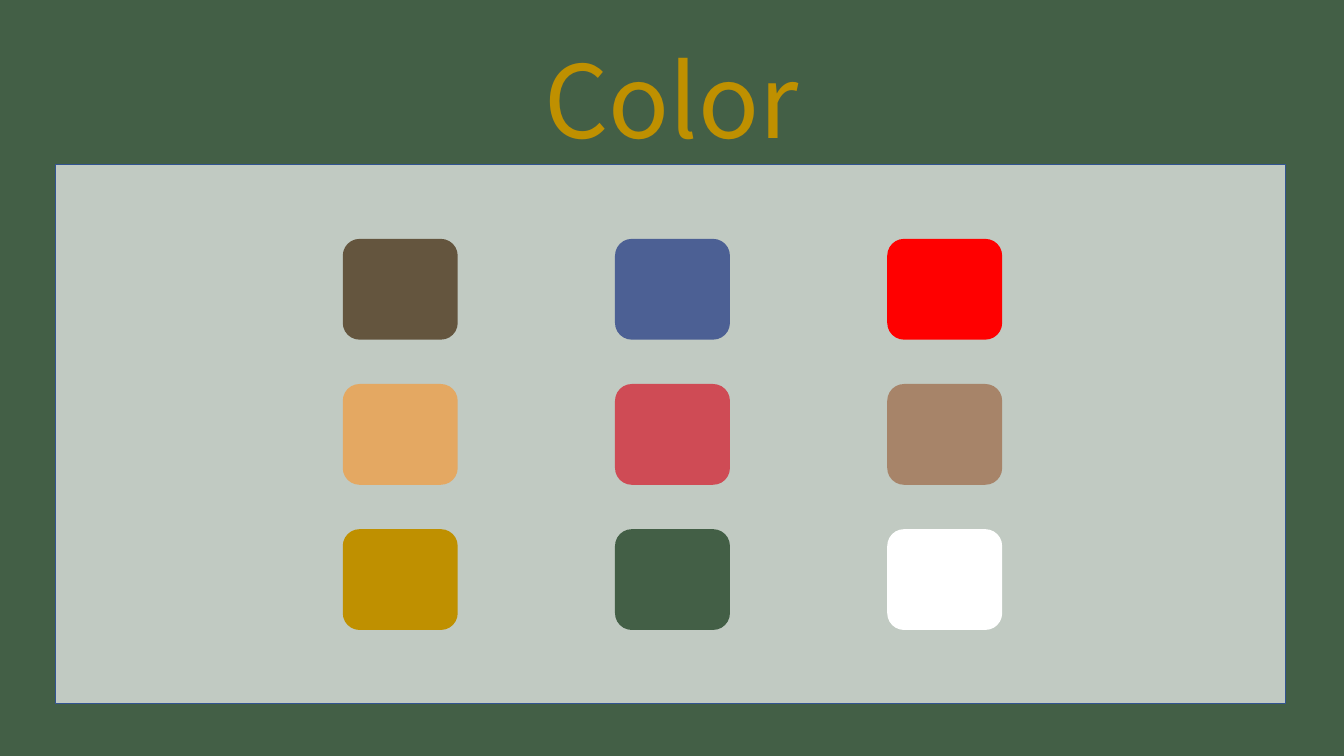
from pptx import Presentation
from pptx.dml.color import RGBColor
from pptx.enum.shapes import MSO_SHAPE
from pptx.enum.text import MSO_ANCHOR, MSO_AUTO_SIZE, PP_ALIGN
from pptx.oxml.ns import qn
from pptx.util import Inches, Pt
from lxml import etree

FONT = "Noto Sans CJK KR"
COLORS = {
    "green": "435F46", "gold": "BF9000", "white": "FFFFFF",
    "brown": "64553E", "blue": "4C6094", "red": "FF0000",
    "orange": "E4A862", "rose": "CF4B55", "tan": "A78469",
    "border": "325491",
}
SWATCHES = [
    ["brown", "blue", "red"],
    ["orange", "rose", "tan"],
    ["gold", "green", "white"],
]


def rgb(name):
    return RGBColor.from_string(COLORS[name])


def add_box(s, kind, left, top, width, height, color):
    sp = s.shapes.add_shape(kind, Inches(left), Inches(top), Inches(width), Inches(height))
    sp.shadow.inherit = False
    sp.fill.solid()
    sp.fill.fore_color.rgb = rgb(color)
    sp.line.fill.background()
    return sp


prs = Presentation()
prs.slide_width, prs.slide_height = Inches(13.33), Inches(7.5)
s = prs.slides.add_slide(prs.slide_layouts[5])
s.background.fill.solid()
s.background.fill.fore_color.rgb = rgb("green")

# Title
title = s.shapes.title
title.left, title.top, title.width, title.height = map(Inches, (3.74, 0.32, 5.84, 1.31))
tf = title.text_frame
tf.text = "Color"
tf.vertical_anchor = MSO_ANCHOR.TOP
tf.auto_size = MSO_AUTO_SIZE.SHAPE_TO_FIT_TEXT
p = tf.paragraphs[0]
p.alignment = PP_ALIGN.CENTER
r = p.runs[0]
for name, value in {"name": FONT, "size": Pt(72)}.items():
    setattr(r.font, name, value)
r.font.color.rgb = rgb("gold")
etree.SubElement(r.font._element, qn("a:ea"), typeface=FONT)

# Translucent panel
panel = add_box(s, MSO_SHAPE.RECTANGLE, 0.55, 1.63, 12.2, 5.35, "white")
panel.line.color.rgb = rgb("border")
panel.line.width = Pt(1)
fill_color = panel.fill._xPr.find(qn("a:solidFill"))[0]
etree.SubElement(fill_color, qn("a:alpha"), val="67000")

# Swatch grid
for row, names in enumerate(SWATCHES):
    for col, name in enumerate(names):
        add_box(s, MSO_SHAPE.ROUNDED_RECTANGLE,
                3.4 + 2.7 * col, 2.37 + 1.44 * row, 1.14, 1, name)

prs.save("out.pptx")
